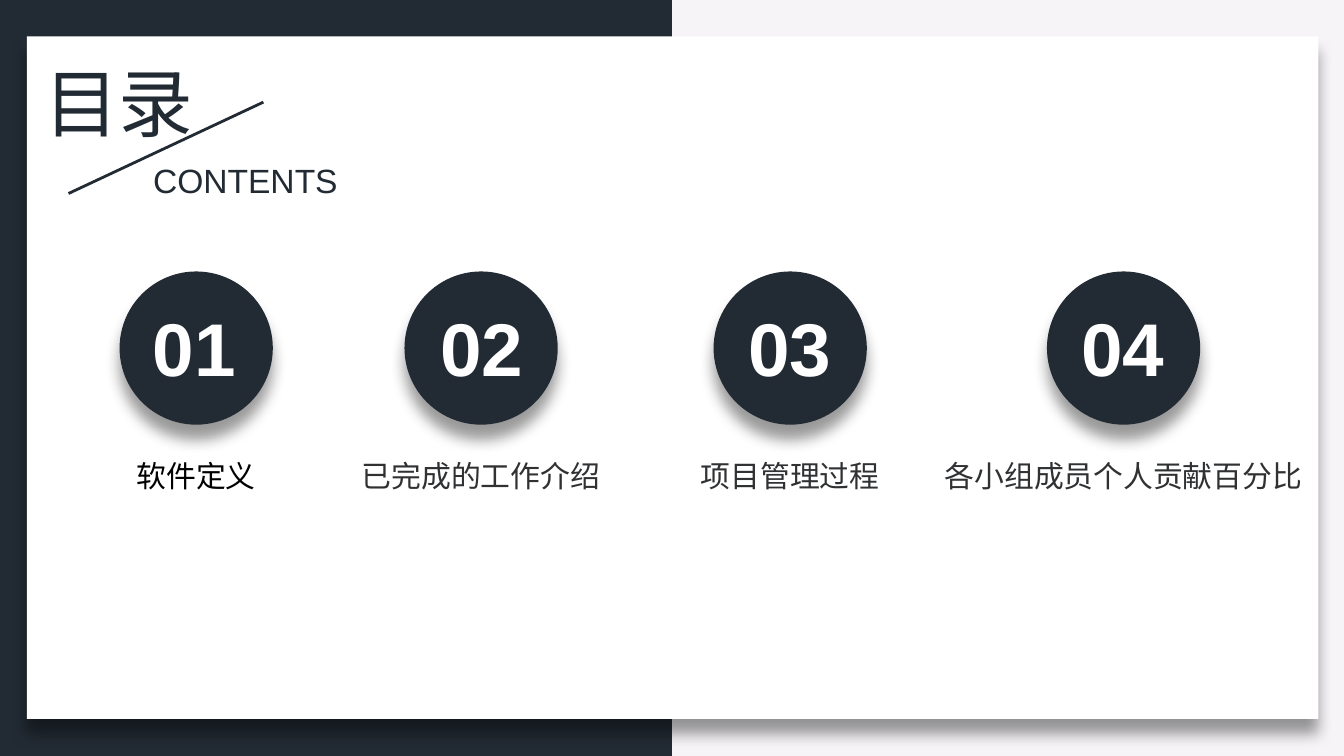
import pptx
import pptx.util
import pptx.dml.color
import pptx.enum.shapes
import pptx.enum.text
import pptx.oxml
import pptx.oxml.ns
from pptx.util import Inches

NAVY, WHITE, BLACK, GREY = "222B34", "FFFFFF", "000000", "303133"
CJK = "Noto Sans CJK SC"
SHAPE = pptx.enum.shapes.MSO_SHAPE
LEFT, CENTER = pptx.enum.text.PP_ALIGN.LEFT, pptx.enum.text.PP_ALIGN.CENTER

# number, number left, label, centre x, label width, label font, label colour
SECTIONS = [
    ("01", 1.03, "软件定义", 1.46, 1.1, "Arial", BLACK),
    ("02", 3.17, "已完成的工作介绍", 3.58, 2, CJK, GREY),
    ("03", 5.46, "项目管理过程", 5.88, 1.55, CJK, GREY),
    ("04", 7.94, "各小组成员个人贡献百分比", 8.36, 2.89, CJK, GREY),
]
CIRCLE_TOP, CIRCLE_SIZE = 2.02, 1.14
NUMBER_TOP, NUMBER_WIDTH, NUMBER_HEIGHT = 2.2, 0.83, 0.77
LABEL_TOP, LABEL_HEIGHT = 3.36, 0.37
SLIDE_WIDTH = 10
SLIDE_HEIGHT = SLIDE_WIDTH * 9 / 16


def rgb(color):
    return pptx.dml.color.RGBColor.from_string(color)


def add_shadow(shape):
    """Give the shape a soft black shadow straight below it."""
    shape.element.spPr.append(pptx.oxml.parse_xml(
        f'<a:effectLst {pptx.oxml.ns.nsdecls("a")}>'
        '<a:outerShdw blurRad="101600" dist="101600" dir="5400000" algn="t" rotWithShape="0">'
        '<a:srgbClr val="000000"><a:alpha val="40000"/></a:srgbClr>'
        '</a:outerShdw></a:effectLst>'))


def add_block(kind, x, y, w, h, color, shadow=True):
    sp = s.shapes.add_shape(kind, Inches(x), Inches(y), Inches(w), Inches(h))
    sp.fill.solid()
    sp.fill.fore_color.rgb = rgb(color)
    sp.line.fill.background()
    if shadow:
        add_shadow(sp)
    else:
        sp.shadow.inherit = False
    return sp


def write(sp, text, size, font, color, align=LEFT, bold=False):
    tf = sp.text_frame
    tf.word_wrap = False
    tf.auto_size = pptx.enum.text.MSO_AUTO_SIZE.SHAPE_TO_FIT_TEXT
    tf.vertical_anchor = pptx.enum.text.MSO_ANCHOR.TOP
    p = tf.paragraphs[0]
    p.alignment = align
    r = p.add_run()
    r.text = text
    r.font.size = pptx.util.Pt(size)
    r.font.name = font
    r.font.bold = bold
    r.font.color.rgb = rgb(color)


def add_text(x, y, w, h, *style, **options):
    sp = s.shapes.add_textbox(Inches(x), Inches(y), Inches(w), Inches(h))
    write(sp, *style, **options)


prs = pptx.Presentation()
prs.slide_width, prs.slide_height = Inches(SLIDE_WIDTH), Inches(SLIDE_HEIGHT)
s = prs.slides.add_slide(prs.slide_layouts[5])
s.background.fill.solid()
s.background.fill.fore_color.rgb = rgb("F6F4F7")

add_block(SHAPE.RECTANGLE, 0, 0, SLIDE_WIDTH / 2, SLIDE_HEIGHT, NAVY, shadow=False)
panel = add_block(SHAPE.RECTANGLE, 0.2, 0.27, 9.61, 5.08, WHITE)

title = s.shapes.title
title.left, title.top = Inches(0.23), Inches(0.37)
title.width, title.height = Inches(1.32), Inches(0.77)
write(title, "目录", 40, "Calibri", NAVY)
panel.element.addnext(title.element)  # bring the title in front of the panel

slash = s.shapes.add_connector(pptx.enum.shapes.MSO_CONNECTOR.STRAIGHT,
                               Inches(1.96), Inches(0.76), Inches(0.51), Inches(1.44))
slash.line.color.rgb = rgb(NAVY)
slash.line.width = pptx.util.Pt(1.5)
slash.element.spPr.append(pptx.oxml.parse_xml(f'<a:effectLst {pptx.oxml.ns.nsdecls("a")}/>'))
add_text(1.04, 1.14, 1.59, 0.4, "CONTENTS", 18, "Arial", NAVY)

for number, number_left, label, center, width, font, color in SECTIONS:
    add_block(SHAPE.OVAL, center - CIRCLE_SIZE / 2, CIRCLE_TOP, CIRCLE_SIZE, CIRCLE_SIZE, NAVY)
    add_text(center - width / 2, LABEL_TOP, width, LABEL_HEIGHT,
             label, 16, font, color, align=CENTER)
    add_text(number_left, NUMBER_TOP, NUMBER_WIDTH, NUMBER_HEIGHT,
             number, 40, "Arial", WHITE, align=CENTER, bold=True)

prs.save("out.pptx")
